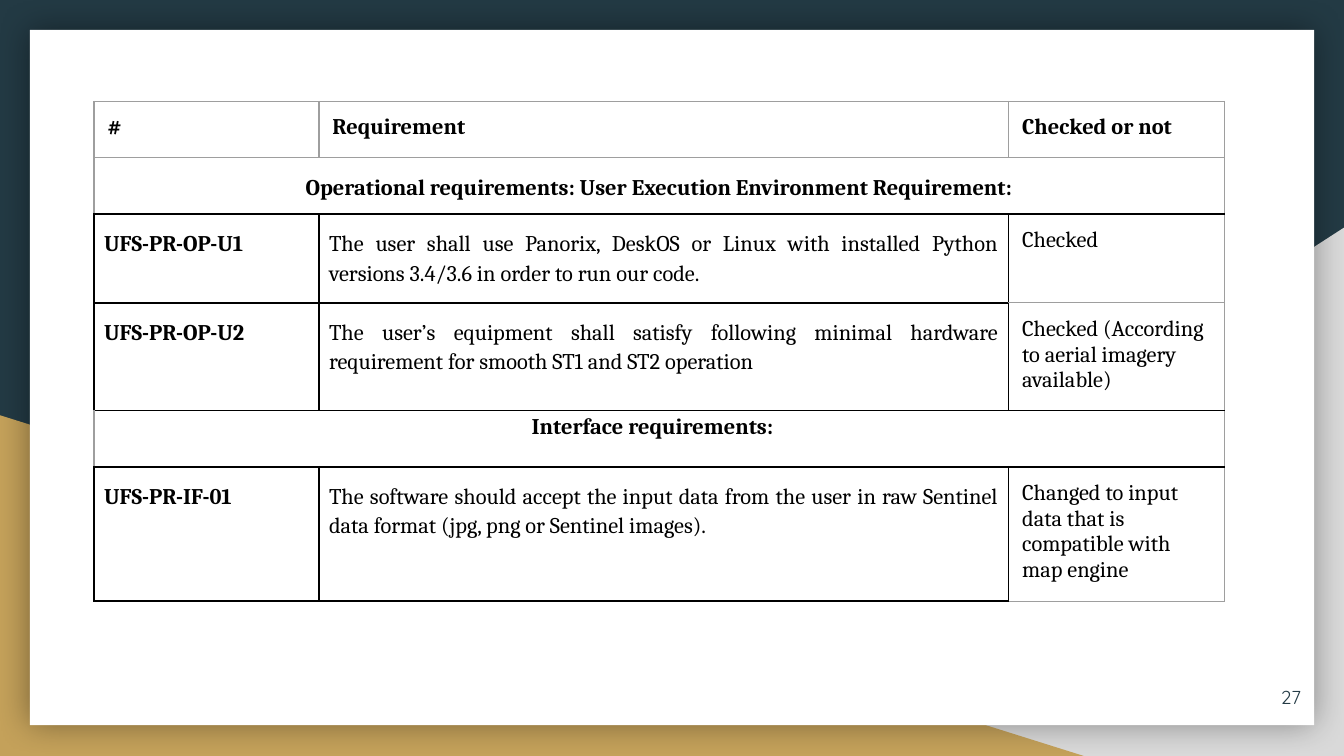
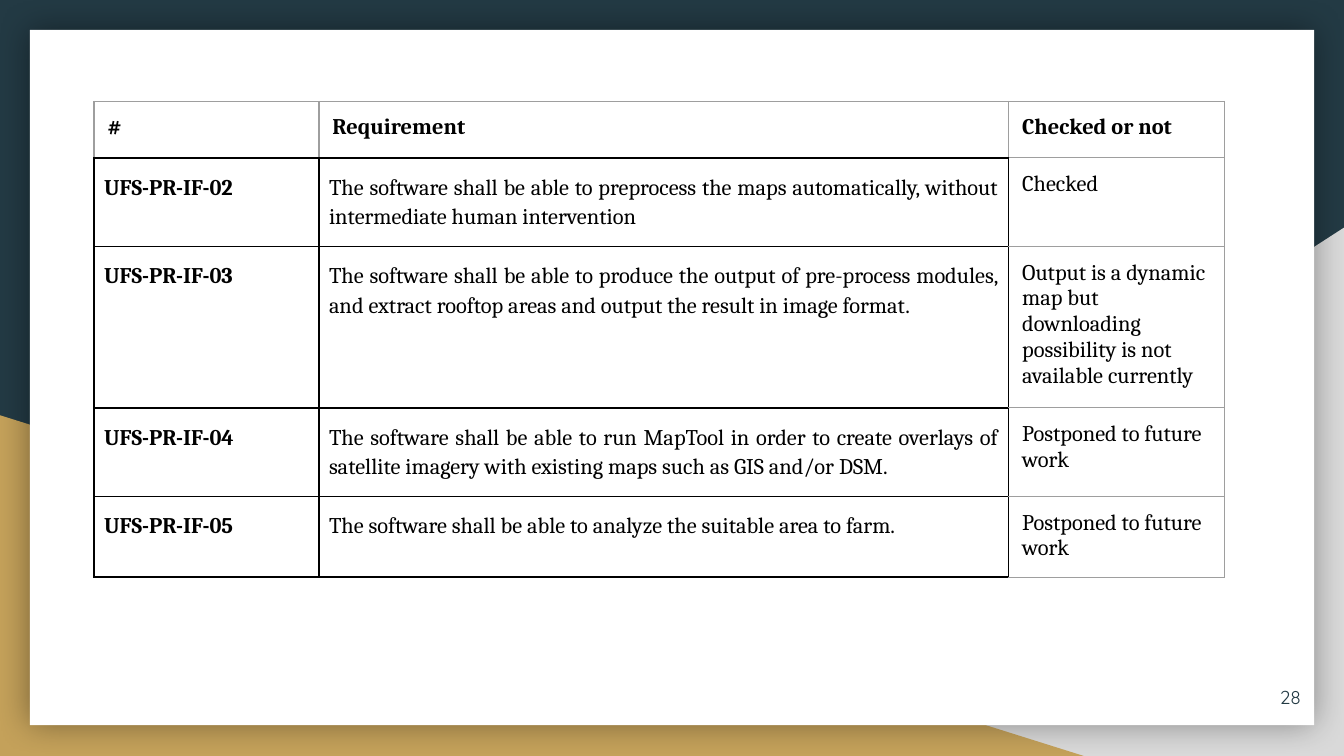
from lxml.etree import SubElement
from pptx import Presentation
from pptx.dml.color import RGBColor
from pptx.enum.shapes import MSO_SHAPE
from pptx.enum.text import MSO_ANCHOR, PP_ALIGN
from pptx.oxml.ns import qn
from pptx.util import Pt

NAVY, GOLD, SILVER, WHITE = "233A44", "C4A15A", "D9D9D9", "FFFFFF"
BLACK, GREY = "000000", "9E9E9E"
SERIF, SANS = "Cambria", "Quicksand"
WIDE, HIGH = 720, 405
COLS = (120.5, 369.5, 115.6)
ROW = 30.2
HEAD = ("#", "Requirement", "Checked or not")
# Edge order: left, top, right, bottom; b is black, g is grey
EDGES = ("lnL", "lnT", "lnR", "lnB")
PENS = {"b": (BLACK, 1), "g": (GREY, 0.75)}

# A row with one text is a section heading across the table
FIRST = [
    ("Operational requirements: User Execution Environment Requirement:",),
    ("UFS-PR-OP-U1",
     "The user shall use Panorix, DeskOS or Linux with installed Python "
     "versions 3.4/3.6 in order to run our code.",
     "Checked"),
    ("UFS-PR-OP-U2",
     "The user’s equipment shall satisfy following minimal hardware "
     "requirement for smooth ST1 and ST2 operation",
     "Checked (According to aerial imagery available)"),
    ("Interface requirements:",),
    ("UFS-PR-IF-01",
     "The software should accept the input data from the user in raw Sentinel "
     "data format (jpg, png or Sentinel images).",
     "Changed to input data that is compatible with map engine"),
]
SECOND = [
    ("UFS-PR-IF-02",
     "The software shall be able to preprocess the maps automatically, "
     "without intermediate human intervention",
     "Checked"),
    ("UFS-PR-IF-03",
     "The software shall be able to produce the output of pre-process modules, "
     "and extract rooftop areas and output the result in image format.",
     "Output is a dynamic map but downloading possibility is not "
     "available currently"),
    ("UFS-PR-IF-04",
     "The software shall be able to run MapTool in order to create overlays of "
     "satellite imagery with existing maps such as GIS and/or DSM.",
     "Postponed to future work"),
    ("UFS-PR-IF-05",
     "The software shall be able to analyze the suitable area to farm.",
     "Postponed to future work"),
]


def color(code):
    return RGBColor.from_string(code)


def style(para, face, size, code, bold=False):
    for run in para.runs:
        run.font.name = face
        run.font.size = Pt(size)
        run.font.bold = bold
        run.font.color.rgb = color(code)


def shape(slide, kind, box, code):
    item = slide.shapes.add_shape(kind, *map(Pt, box))
    item.shadow.inherit = False
    item.fill.solid()
    item.fill.fore_color.rgb = color(code)
    item.line.fill.background()
    return item


def glow(item):
    """Soft shadow on all sides of the card."""
    effects = item._element.spPr.find(qn("a:effectLst"))
    outer = SubElement(effects, qn("a:outerShdw"), blurRad=str(Pt(18)),
                       dist="0", dir="0", algn="ctr", rotWithShape="0")
    shade = SubElement(outer, qn("a:srgbClr"), val=BLACK)
    SubElement(shade, qn("a:alpha"), val="40000")


def frame(slide, number):
    """Backdrop, white card and page number."""
    slide.background.fill.solid()
    slide.background.fill.fore_color.rgb = color(NAVY)

    # Corner triangles rest on the bottom edge
    width, height = 438, 283
    right = shape(slide, MSO_SHAPE.RIGHT_TRIANGLE,
                  (WIDE - width, HIGH - height, width, height), SILVER)
    right._element.spPr.xfrm.set("flipH", "1")
    width, height = 580.5, 182.5
    shape(slide, MSO_SHAPE.RIGHT_TRIANGLE,
          (0, HIGH - height, width, height), GOLD)

    glow(shape(slide, MSO_SHAPE.RECTANGLE, (16, 16, 688, 372.5), WHITE))

    # Page number
    text = slide.shapes.add_textbox(Pt(661), Pt(358), Pt(43), Pt(31)).text_frame
    text.word_wrap = True
    text.vertical_anchor = MSO_ANCHOR.MIDDLE
    text.margin_left = text.margin_right = Pt(7.2)
    text.margin_top = text.margin_bottom = Pt(7.2)
    text.text = str(number)
    para = text.paragraphs[0]
    para.alignment = PP_ALIGN.RIGHT
    style(para, SANS, 10, NAVY)


def edge(cell, pens):
    props = cell._tc.get_or_add_tcPr()
    for name, pen in sorted(zip(EDGES, pens),
                            key=lambda pair: "LRTB".index(pair[0][-1])):
        code, width = PENS[pen]
        line = SubElement(props, qn("a:" + name), w=str(Pt(width)))
        fill = SubElement(line, qn("a:solidFill"))
        SubElement(fill, qn("a:srgbClr"), val=code)
    cell.fill.background()


def write(cell, text, bold, pads, align=None, lead=None):
    (cell.margin_left, cell.margin_top,
     cell.margin_right, cell.margin_bottom) = map(Pt, pads)
    cell.text = text
    para = cell.text_frame.paragraphs[0]
    para.alignment = align
    para.line_spacing = lead
    style(para, SERIF, 12, BLACK, bold)


def section(cells, text, first):
    """Heading that spans the whole row."""
    cells[0].merge(cells[-1])
    for cell in cells:
        edge(cell, "gggb" if first else "gbgb")
    pads = (0, 0, 0, 0) if first else (0, 0, 7.2, 0)
    write(cells[0], text, True, pads, PP_ALIGN.CENTER, 1.15)
    if first:
        cells[0].vertical_anchor = MSO_ANCHOR.MIDDLE


def grid(slide, left, top, body):
    """Requirement table with its header row."""
    table = slide.shapes.add_table(
        len(body) + 1, len(COLS), Pt(left), Pt(top),
        Pt(sum(COLS)), Pt(ROW * (len(body) + 1))).table
    table.first_row = table.horz_banding = False
    for column, width in zip(table.columns, COLS):
        column.width = Pt(width)
    for row in table.rows:
        row.height = Pt(ROW)

    # Header
    even, tight = (7.2,) * 4, (5.4, 7.2) * 2
    spans = len(body[0]) == 1
    for col, text in enumerate(HEAD):
        cell = table.cell(0, col)
        edge(cell, "gggg" if spans or col == 2 else "gggb")
        write(cell, text, True, even)

    # Body
    for index, texts in enumerate(body, 1):
        cells = [table.cell(index, col) for col in range(len(COLS))]
        if len(texts) == 1:
            section(cells, texts[0], index == 1)
            continue
        for col, (cell, text) in enumerate(zip(cells, texts)):
            if col == 2:
                # Edges next to a section heading are black
                above = index > 1 and len(body[index - 2]) == 1
                below = index < len(body) and len(body[index]) == 1
                edge(cell, "b" + "gb"[above] + "g" + "gb"[below])
                write(cell, text, False, even)
            else:
                edge(cell, "bbbb")
                write(cell, text, col == 0, tight, PP_ALIGN.JUSTIFY, 1.15)


def main():
    deck = Presentation()
    deck.slide_width, deck.slide_height = Pt(WIDE), Pt(HIGH)
    for number, body in enumerate((FIRST, SECOND), 27):
        slide = deck.slides.add_slide(deck.slide_layouts[6])
        frame(slide, number)
        grid(slide, 50.4, 54.3, body)
    deck.save("out.pptx")


if __name__ == "__main__":
    main()
